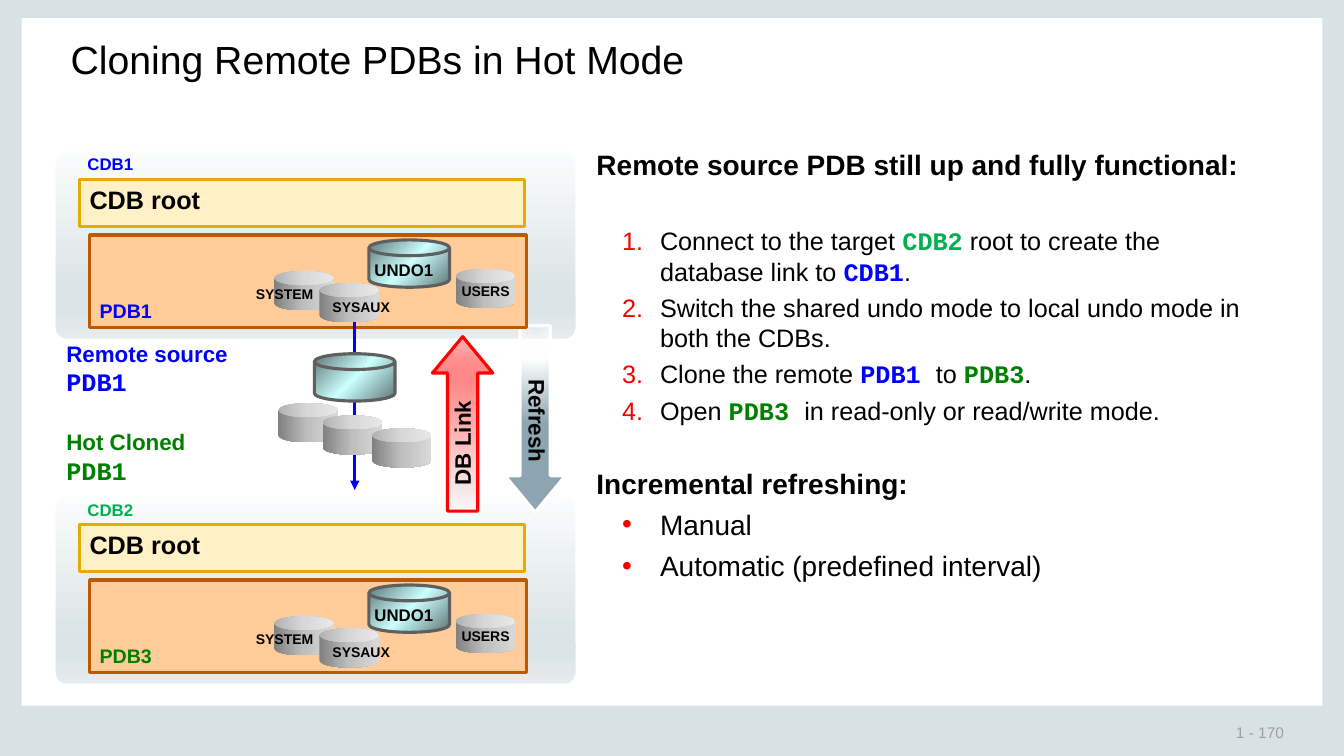
from dataclasses import dataclass
from typing import NamedTuple, Optional

from lxml import etree
from pptx import Presentation
from pptx.dml.color import RGBColor
from pptx.enum import shapes, text
from pptx.oxml import ns
from pptx.util import Pt

SHAPE = shapes.MSO_SHAPE
ANCHOR = text.MSO_ANCHOR
ALIGN = text.PP_ALIGN


@dataclass(frozen=True)
class Theme:
    font: str = "Arial"
    code_font: str = "Courier New"
    black: str = "000000"
    white: str = "FFFFFF"
    frame: str = "D8E1E6"
    page: str = "9F9F9F"
    source: str = "0000FF"
    target: str = "00B050"
    clone: str = "008000"
    bullet: str = "F80000"
    title: float = 28
    heading: float = 20
    body: float = 18
    side: float = 16
    pdb: float = 14
    small: float = 12
    page_size: float = 11
    tiny: float = 10


THEME = Theme()


class Box(NamedTuple):
    left: float
    top: float
    width: float
    height: float

    def down(self, distance: float) -> "Box":
        return self._replace(top=self.top + distance)


class Stop(NamedTuple):
    position: int
    color: str
    alpha: int = 100


class Gradient(NamedTuple):
    stops: tuple[Stop, ...]
    angle: Optional[int] = None  # None: circular, centred above the shape


class Look(NamedTuple):
    kind: int
    fill: str | Gradient
    line: Optional[str] = None
    weight: float = 2.25
    adjustments: tuple[float, ...] = ()


class Run(NamedTuple):
    text: str
    color: str = THEME.black
    bold: bool = False
    font: str = THEME.font


class BodyLine(NamedTuple):
    runs: tuple[Run, ...]
    size: float
    before: float = 4.3
    bullet: Optional[str] = None


class Database(NamedTuple):
    name: str
    name_color: str
    pdb: str
    pdb_color: str
    offset: float


def code(name: str, color: str) -> Run:
    return Run(name, color, True, THEME.code_font)


PANEL = Look(SHAPE.ROUNDED_RECTANGLE, Gradient((
    Stop(0, "FBFCFC"), Stop(74, "DBE4E6"), Stop(83, "DBE4E6"), Stop(100, "E7EDEE")), 90),
    THEME.white, 3, (0.067,))
ROOT = Look(SHAPE.RECTANGLE, "FFF0C5", "E6AA00")
PDB = Look(SHAPE.RECTANGLE, "FFCC99", "BF5900")
UNDO = Look(SHAPE.FLOWCHART_MAGNETIC_DISK, Gradient((
    Stop(0, "5E7676"), Stop(50, "CCFFFF"), Stop(100, "5E7676")), 45), "5F5F5F")
DATAFILE = Look(SHAPE.CAN, Gradient((
    Stop(0, "808080"), Stop(50, "BFBFBF"), Stop(100, "D9D9D9")), 0), adjustments=(0.356,))
REFRESH = Look(SHAPE.DOWN_ARROW, Gradient((
    Stop(0, "FFFFFF", 0), Stop(35, "FFFFFF"), Stop(100, "8DA6B1"))),
    THEME.white, adjustments=(0.5, 0.602))
DB_LINK = Look(SHAPE.UP_ARROW, Gradient((
    Stop(0, "F6F8F8"), Stop(74, "FF8989"), Stop(83, "FF8989"), Stop(100, "FFB0B0")), 270),
    "FF0101", adjustments=(0.5, 0.602))

BARS = (Box(944.6, 0, 15.4, 540), Box(0, 0, 15.4, 540), Box(0, 504, 960, 36), Box(0, 0, 960, 13))
DATABASES = (
    Database("CDB1", THEME.source, "PDB1", THEME.source, 0),
    Database("CDB2", THEME.target, "PDB3", THEME.clone, 246.5),
)
BODY = (
    BodyLine((Run("Remote source PDB still up and fully functional:", bold=True),),
             THEME.heading, 0),
    BodyLine((Run("Connect to the target "), code("CDB2", THEME.target),
              Run(" root to create the database link to "), code("CDB1", THEME.source),
              Run(".")), THEME.body, 31.6, "number"),
    BodyLine((Run("Switch the shared undo mode to local undo mode in both the CDBs."),),
             THEME.body, bullet="number"),
    BodyLine((Run("Clone the remote "), code("PDB1 ", THEME.source), Run("to "),
              code("PDB3", THEME.clone), Run(".")), THEME.body, bullet="number"),
    BodyLine((Run("Open "), code("PDB3 ", THEME.clone),
              Run("in read-only or read/write mode.")), THEME.body, bullet="number"),
    BodyLine((Run("Incremental refreshing:", bold=True),), THEME.heading, 29.3),
    BodyLine((Run("Manual"),), THEME.heading, 5.5, "•"),
    BodyLine((Run("Automatic (predefined interval)"),), THEME.heading, 5.5, "•"),
)


def add_element(parent, tag: str, **attributes):
    return etree.SubElement(parent, ns.qn(tag), {k: str(v) for k, v in attributes.items()})


def set_gradient(shape, gradient: Gradient) -> None:
    shape.fill.background()
    empty_fill = shape._element.spPr.find(ns.qn("a:noFill"))
    fill = etree.Element(ns.qn("a:gradFill"), rotWithShape="1")
    stop_list = add_element(fill, "a:gsLst")
    for stop in gradient.stops:
        entry = add_element(stop_list, "a:gs", pos=stop.position * 1000)
        color = add_element(entry, "a:srgbClr", val=stop.color)
        if stop.alpha < 100:
            add_element(color, "a:alpha", val=stop.alpha * 1000)
    if gradient.angle is None:
        circle = add_element(fill, "a:path", path="circle")
        add_element(circle, "a:fillToRect", l=50000, t=-80000, r=50000, b=180000)
    else:
        add_element(fill, "a:lin", ang=gradient.angle * 60000, scaled=0)
    empty_fill.getparent().replace(empty_fill, fill)


def add_shape(slide, look: Look, box: Box):
    shape = slide.shapes.add_shape(look.kind, *map(Pt, box))
    shape.shadow.inherit = False
    for index, value in enumerate(look.adjustments):
        shape.adjustments[index] = value
    if isinstance(look.fill, Gradient):
        set_gradient(shape, look.fill)
    else:
        shape.fill.solid()
        shape.fill.fore_color.rgb = RGBColor.from_string(look.fill)
    if look.line:
        shape.line.color.rgb = RGBColor.from_string(look.line)
        shape.line.width = Pt(look.weight)
    else:
        shape.line.fill.background()
    return shape


def add_run(paragraph, run: Run, size: float) -> None:
    part = paragraph.add_run()
    part.text = run.text
    part.font.name, part.font.size, part.font.bold = run.font, Pt(size), run.bold
    part.font.color.rgb = RGBColor.from_string(run.color)


def write(shape, content: str, *, size: float, color: str = THEME.black, bold: bool = True,
          font: str = THEME.font, anchor=ANCHOR.TOP, align=ALIGN.LEFT, wrap: bool = True,
          insets: tuple[float, ...] = (7.2, 3.6, 7.2, 3.6), spacing: float = 1.0):
    """Put text in a shape and return its paragraph."""
    frame = shape.text_frame
    frame.word_wrap, frame.vertical_anchor = wrap, anchor
    frame.auto_size = text.MSO_AUTO_SIZE.NONE
    (frame.margin_left, frame.margin_top,
     frame.margin_right, frame.margin_bottom) = map(Pt, insets)
    paragraph = frame.paragraphs[0]
    paragraph.alignment, paragraph.line_spacing = align, spacing
    add_run(paragraph, Run(content, color, bold, font), size)
    return paragraph


def add_label(slide, content: str, box: Box, *, rotation: float = 0, **text_format):
    label = slide.shapes.add_textbox(*map(Pt, box))
    label.rotation = rotation
    write(label, content, **text_format)
    return label


def add_body(slide) -> None:
    frame = slide.shapes.add_textbox(*map(Pt, Box(419, 102, 488, 323))).text_frame
    frame.word_wrap = True
    for index, line in enumerate(BODY):
        paragraph = frame.add_paragraph() if index else frame.paragraphs[0]
        if line.bullet:
            properties = paragraph._p.get_or_add_pPr()
            properties.set("marL", str(Pt(45.4)))
            properties.set("indent", str(Pt(-27)))
            add_element(add_element(properties, "a:buClr"), "a:srgbClr", val=THEME.bullet)
            add_element(properties, "a:buFont", typeface=THEME.font)
            if line.bullet == "number":
                add_element(properties, "a:buAutoNum", type="arabicPeriod")
            else:
                add_element(properties, "a:buChar", char=line.bullet)
        paragraph.space_before = Pt(line.before)
        for run in line.runs:
            add_run(paragraph, run, line.size)


def add_containers(slide, database: Database) -> None:
    offset = database.offset
    add_label(slide, database.name, Box(55.4, 109.4, 91.4, 18.7).down(offset),
              size=THEME.small, color=database.name_color, spacing=0.8)
    pdb = add_shape(slide, PDB, Box(64, 167.8, 312, 66.2).down(offset))
    write(pdb, database.pdb, size=THEME.pdb, color=database.pdb_color, anchor=ANCHOR.BOTTOM)
    root = add_shape(slide, ROOT, Box(56.9, 128.2, 317.5, 33.8).down(offset))
    write(root, "CDB root", size=THEME.body)


def add_storage(slide, offset: float) -> None:
    add_shape(slide, UNDO, Box(263.5, 171.4, 57.6, 33.8).down(offset))
    add_label(slide, "UNDO1", Box(260.4, 182.2, 76.3, 21.6).down(offset), size=THEME.small)
    for left, top in ((195.8, 193.7), (228.2, 202.3), (325.4, 192.2)):
        add_shape(slide, DATAFILE, Box(left, top, 42.5, 28).down(offset))
    for name, left, top in (("SYSAUX", 230.4, 209.5), ("SYSTEM", 175.7, 200.2),
                            ("USERS", 322.6, 198)):
        add_label(slide, name, Box(left, top, 87.8, 19.4).down(offset), size=THEME.tiny)


def add_clone_flow(slide) -> None:
    flow = slide.shapes.add_connector(shapes.MSO_CONNECTOR.STRAIGHT,
                                      Pt(253.4), Pt(227.5), Pt(253.4), Pt(350))
    flow.line.color.rgb = RGBColor.from_string(THEME.source)
    flow.line.width = Pt(2.25)
    add_element(flow.line._get_or_add_ln(), "a:tailEnd", type="triangle")
    add_element(flow._element.spPr, "a:effectLst")
    add_shape(slide, UNDO, Box(224.6, 252.7, 57.6, 33.8))
    for left, top in ((198.7, 288), (230.4, 296.8), (265.7, 306)):
        add_shape(slide, DATAFILE, Box(left, top, 42.5, 28))


def main() -> None:
    presentation = Presentation()
    presentation.slide_width, presentation.slide_height = Pt(960), Pt(540)
    slide = presentation.slides.add_slide(presentation.slide_layouts[5])
    for bar in BARS:
        add_shape(slide, Look(SHAPE.RECTANGLE, THEME.frame), bar)
    add_label(slide, "1 - 170", Box(873.4, 516.2, 84, 14.4), size=THEME.page_size,
              color=THEME.page, bold=False, anchor=ANCHOR.MIDDLE, wrap=False,
              insets=(9.4, 0, 9.4, 0))
    title = slide.shapes.title
    title.left, title.top, title.width, title.height = map(Pt, Box(49, 24, 862, 66))
    write(title, "Cloning Remote PDBs in Hot Mode", size=THEME.title, bold=False,
          insets=(1.4, 1.4, 1.4, 1.4))
    for database in DATABASES:
        add_shape(slide, PANEL, Box(38.2, 106.6, 374.4, 136.8).down(database.offset))
    add_shape(slide, REFRESH, Box(360.7, 232.6, 43.2, 133.2))
    add_body(slide)
    for database in DATABASES:
        add_containers(slide, database)
    for caption, top, color in (("Remote source", 242.6, THEME.source),
                                ("Hot Cloned", 306, THEME.clone)):
        label = add_label(slide, caption, Box(40.3, top, 184, 44.6), size=THEME.side,
                          color=color, insets=(7.2, 0, 7.2, 3.6))
        add_run(label.text_frame.add_paragraph(), code("PDB1", color), THEME.body)
    add_clone_flow(slide)
    for database in DATABASES:
        add_storage(slide, database.offset)
    add_shape(slide, DB_LINK, Box(308.9, 240.5, 43.2, 124.6))
    for caption, box, rotation in (("DB Link", Box(292.3, 303.1, 75.6, 26.6), 270),
                                   ("Refresh", Box(346.3, 287.3, 74.9, 26.6), 90)):
        add_label(slide, caption, box, rotation=rotation, size=THEME.side,
                  align=ALIGN.CENTER, wrap=False)
    presentation.save("out.pptx")


if __name__ == "__main__":
    main()
